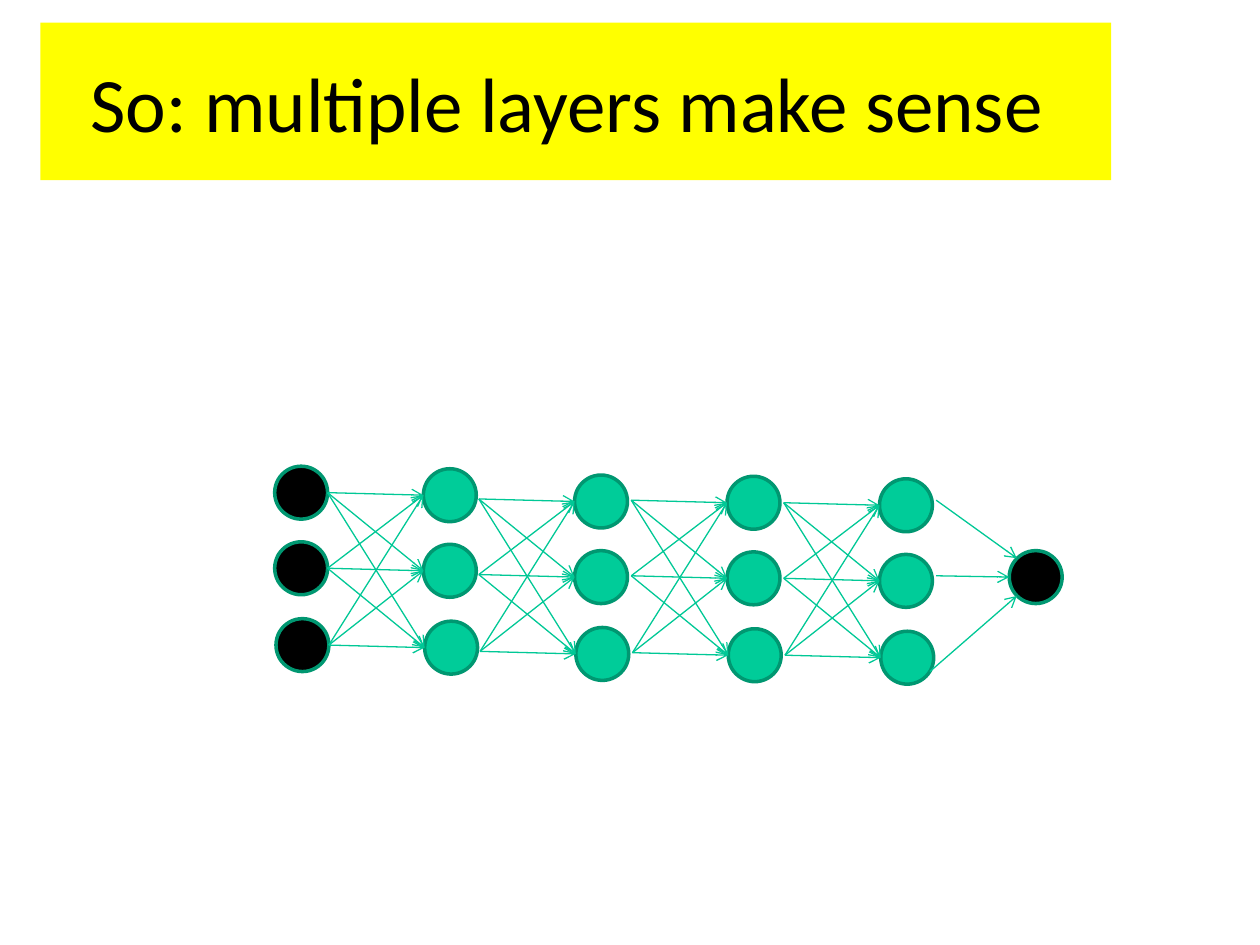
import pptx
import pptx.util
import pptx.dml.color
import pptx.enum.shapes
import pptx.enum.text
import pptx.oxml.ns
import lxml.etree
from pptx.util import Inches

NODE_SIZE = 0.42
RADIUS = NODE_SIZE / 2
NODE_OFFSETS = [(0, 0), (0, 0.6), (0.01, 1.21)]
ARROW_RUN, ARROW_DROP = 0.76, 0.02
BLACK, GREEN, NODE_EDGE, ARROW = "000000", "00CC99", "009771", "00C896"
INPUT_LAYER = (2.18, 3.7)
HIDDEN_LAYERS = [(3.36, 3.72), (4.56, 3.77), (5.77, 3.78), (6.98, 3.8)]
OUTPUT_NODE = (8.01, 4.37)
OUTPUT_ARROWS = [
    ((7.43, 3.97), (8.07, 4.43)),
    ((7.43, 4.57), (8.01, 4.58)),
    ((7.38, 5.33), (8.07, 4.73)),
]


def color(value):
    return pptx.dml.color.RGBColor.from_string(value)


def add_title(page, left, top, width, height):
    box = page.shapes.add_textbox(*map(Inches, (left, top, width, height)))
    box.fill.solid()
    box.fill.fore_color.rgb = color("FFFF00")
    frame = box.text_frame
    frame.word_wrap = True
    frame.vertical_anchor = pptx.enum.text.MSO_ANCHOR.MIDDLE
    para = frame.paragraphs[0]
    para.alignment = pptx.enum.text.PP_ALIGN.CENTER
    span = para.add_run()
    span.text = "So: multiple layers make sense "
    for name, value in {"name": "Calibri", "size": pptx.util.Pt(44)}.items():
        setattr(span.font, name, value)
    span.font.color.rgb = color(BLACK)


def add_node(page, left, top, fill):
    node = page.shapes.add_shape(
        pptx.enum.shapes.MSO_SHAPE.OVAL,
        *map(Inches, (left, top, NODE_SIZE, NODE_SIZE)))
    node.shadow.inherit = False
    node.fill.solid()
    node.fill.fore_color.rgb = color(fill)
    node.line.color.rgb = color(NODE_EDGE)
    node.line.width = pptx.util.Pt(2)


def add_arrow(page, start, end):
    arrow = page.shapes.add_connector(
        pptx.enum.shapes.MSO_CONNECTOR.STRAIGHT, *map(Inches, (*start, *end)))
    arrow.line.color.rgb = color(ARROW)
    arrow.line.width = pptx.util.Pt(0.75)
    name = pptx.oxml.ns.qn
    properties = arrow._element.spPr
    outline = properties.find(name("a:ln"))
    lxml.etree.SubElement(outline, name("a:tailEnd"), type="arrow")
    lxml.etree.SubElement(properties, name("a:effectLst"))


def add_layer(page, left, top, fill):
    for across, down in NODE_OFFSETS:
        add_node(page, left + across, top + down, fill)


def add_incoming_arrows(page, left, top):
    """Link every node of the previous layer to every node of this one."""
    entries = [(left + across, top + down + RADIUS) for across, down in NODE_OFFSETS]
    for x, y in entries:
        for entry in entries:
            add_arrow(page, (x - ARROW_RUN, y - ARROW_DROP), entry)


def add_network(page):
    add_layer(page, *INPUT_LAYER, BLACK)
    for left, top in HIDDEN_LAYERS:
        add_layer(page, left, top, GREEN)
        add_incoming_arrows(page, left, top)
    add_node(page, *OUTPUT_NODE, BLACK)
    for start, end in OUTPUT_ARROWS:
        add_arrow(page, start, end)


def main():
    deck = pptx.Presentation()
    deck.slide_width, deck.slide_height = Inches(10), Inches(7.5)
    page = deck.slides.add_slide(deck.slide_layouts[6])
    add_title(page, 0.32, 0.18, 8.5, 1.25)
    add_network(page)
    deck.save("out.pptx")


if __name__ == "__main__":
    main()
